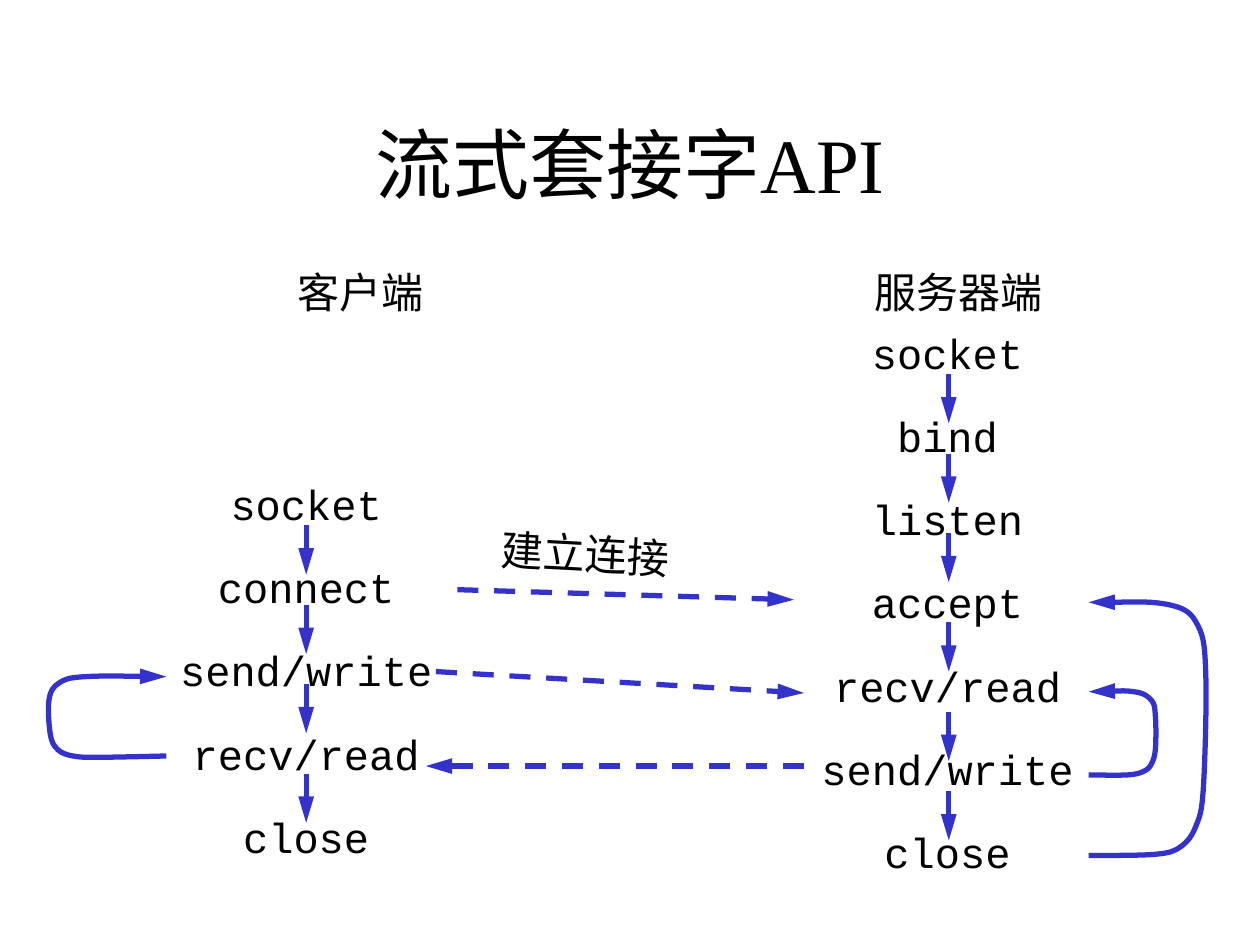
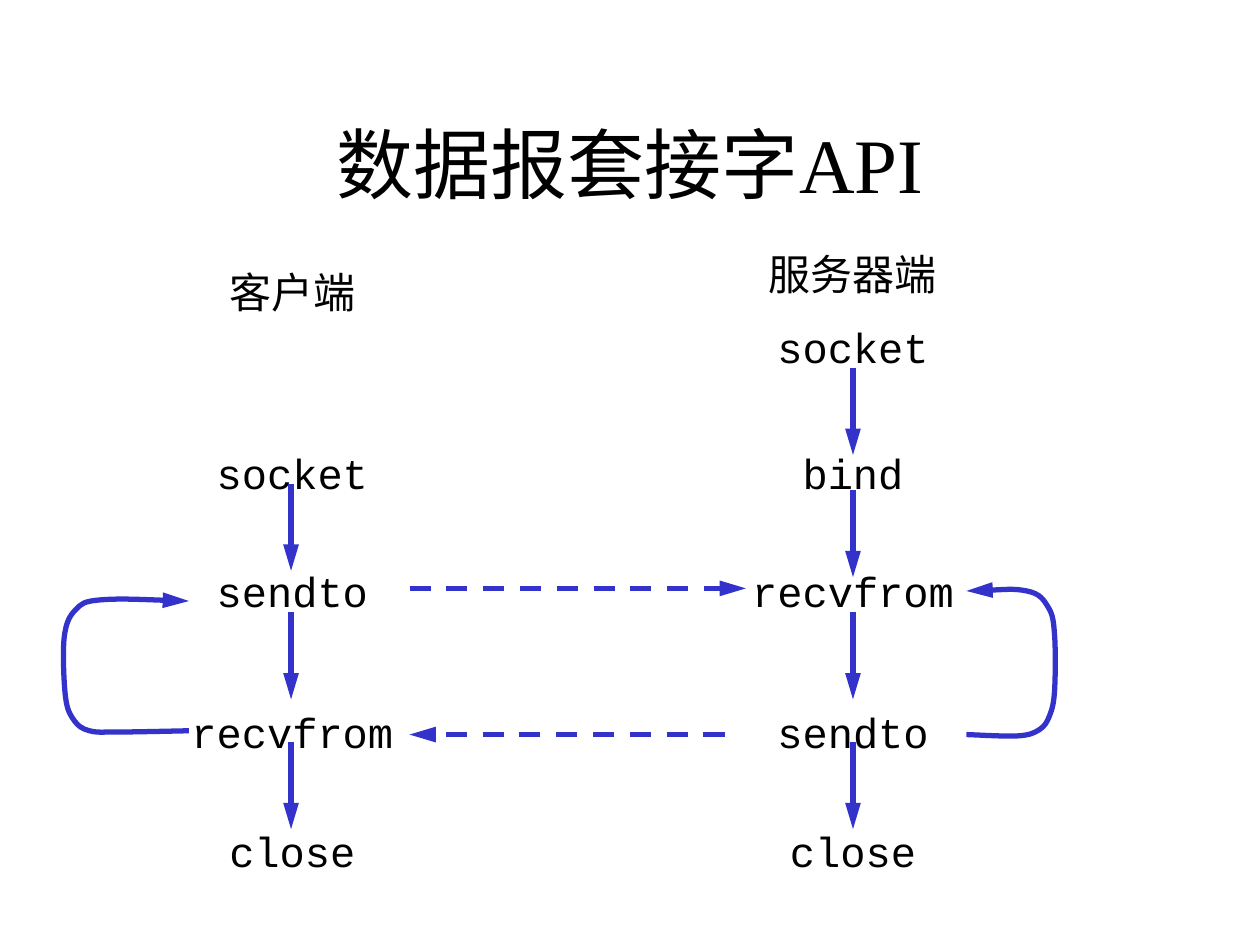
from lxml.etree import SubElement
from pptx import Presentation
from pptx.dml.color import RGBColor
from pptx.enum.dml import MSO_LINE
from pptx.enum.shapes import MSO_CONNECTOR
from pptx.enum.text import MSO_ANCHOR, MSO_AUTO_SIZE, PP_ALIGN
from pptx.oxml.ns import qn
from pptx.util import Pt

EMU_PER_PX = 9144  # 100 px to the inch
BLACK = RGBColor(0x00, 0x00, 0x00)
WHITE = RGBColor(0xFF, 0xFF, 0xFF)
FLOW_BLUE = RGBColor(0x33, 0x33, 0xCC)
TITLE_FONT, LABEL_FONT, CODE_FONT = "Times New Roman", "Arial", "Courier New"
LABEL_CHAR, CODE_CHAR = 33.33, 20  # character widths at 24 pt
BOX_HEIGHT, BOX_INSET = 50, 10


def px(length):
    return round(length * EMU_PER_PX)


def add_text(paragraph, text, font, size):
    run = paragraph.add_run()
    run.text = text
    run.font.name = font
    run.font.size = Pt(size)
    run.font.color.rgb = BLACK


def add_titled_slide(deck, title):
    slide = deck.slides.add_slide(deck.slide_layouts[5])
    slide.background.fill.solid()
    slide.background.fill.fore_color.rgb = WHITE
    heading = slide.shapes.title
    heading.left, heading.top, heading.width, heading.height = map(px, (75, 67, 850, 125))
    frame = heading.text_frame
    frame.auto_size = MSO_AUTO_SIZE.NONE
    frame.vertical_anchor = MSO_ANCHOR.MIDDLE
    frame.paragraphs[0].alignment = PP_ALIGN.CENTER
    add_text(frame.paragraphs[0], title, TITLE_FONT, 44)
    return slide


def add_line_of_text(slide, text, left, top, width, font, alignment):
    box = slide.shapes.add_textbox(px(left), px(top), px(width), px(BOX_HEIGHT))
    box.text_frame.word_wrap = False
    paragraph = box.text_frame.paragraphs[0]
    paragraph.alignment = alignment
    add_text(paragraph, text, font, 24)
    return box


def add_label(slide, text, left, top, rotation=0):
    width = 2 * BOX_INSET + LABEL_CHAR * len(text)
    label = add_line_of_text(slide, text, left, top, width, LABEL_FONT, PP_ALIGN.LEFT)
    label.rotation = rotation


def add_calls(slide, center, calls, tops):
    """Stack the socket calls of one side around a vertical axis."""
    for call, top in zip(calls, tops):
        width = 2 * BOX_INSET + CODE_CHAR * len(call)
        add_line_of_text(slide, call, center - width / 2, top, width,
                         CODE_FONT, PP_ALIGN.CENTER)


def style_arrow(line):
    line.color.rgb = FLOW_BLUE
    line.width = Pt(3)
    SubElement(line._get_or_add_ln(), qn("a:tailEnd"), type="triangle", w="med", len="lg")


def add_arrow(slide, start, end, dashed=False):
    arrow = slide.shapes.add_connector(MSO_CONNECTOR.STRAIGHT, *map(px, start + end))
    if dashed:
        arrow.line.dash_style = MSO_LINE.DASH
    style_arrow(arrow.line)
    SubElement(arrow._element.spPr, qn("a:effectLst"))


def add_step_arrows(slide, x, tops, length):
    for top in tops:
        add_arrow(slide, (x, top), (x, top + length))


def smooth_segments(points):
    """Return two control points and an end point per span (Catmull-Rom)."""
    padded = [points[0], *points, points[-1]]
    segments = []
    for before, start, end, after in zip(padded, padded[1:], padded[2:], padded[3:]):
        leaving = tuple(s + (e - b) / 6 for b, s, e in zip(before, start, end))
        arriving = tuple(e - (a - s) / 6 for s, e, a in zip(start, end, after))
        segments += [leaving, arriving, end]
    return segments


def add_loop(slide, points):
    """Draw a smooth arrow through the points."""
    builder = slide.shapes.build_freeform(*map(px, points[0]))
    builder.add_line_segments(
        [tuple(map(px, point)) for point in smooth_segments(points)], close=False)
    loop = builder.convert_to_shape()
    outline = next(loop._element.iter(qn("a:path")))
    steps = outline.findall(qn("a:lnTo"))
    for first in range(0, len(steps), 3):
        curve = SubElement(outline, qn("a:cubicBezTo"))
        for step in steps[first:first + 3]:
            curve.append(step[0])
            outline.remove(step)
    loop.fill.background()
    style_arrow(loop.line)
    loop.shadow.inherit = False


def build_stream_slide(deck):
    slide = add_titled_slide(deck, "流式套接字API")
    add_label(slide, "服务器端", 684, 207)
    add_calls(slide, 752,
              ["socket", "bind", "listen", "accept", "recv/read", "send/write", "close"],
              range(255, 652, 66))
    add_step_arrows(slide, 753, [297, 360, 423, 494, 565, 628], 39)

    add_label(slide, "客户端", 226, 207)
    add_calls(slide, 243, ["socket", "connect", "send/write", "recv/read", "close"],
              range(375, 640, 66))
    add_step_arrows(slide, 243, [417, 480, 543, 614], 39)

    add_loop(slide, [(132, 600), (78, 601), (58, 600), (46, 595), (40, 583),
                     (39, 555), (47, 542), (68, 537), (132, 537)])
    add_loop(slide, [(864, 615), (895, 615), (908, 612), (914, 606), (917, 594),
                     (917, 569), (914, 556), (900, 549), (864, 549)])
    add_loop(slide, [(864, 679), (917, 678), (937, 672), (949, 656), (955, 626),
                     (957, 537), (951, 497), (928, 480), (864, 478)])

    add_arrow(slide, (346, 533), (638, 550), dashed=True)
    add_arrow(slide, (638, 608), (338, 608), dashed=True)
    add_arrow(slide, (363, 468), (630, 476), dashed=True)
    add_label(slide, "建立连接", 388, 414, rotation=3.1)


def build_datagram_slide(deck):
    slide = add_titled_slide(deck, "数据报套接字API")
    add_label(slide, "服务器端", 600, 192)
    add_calls(slide, 677, ["socket", "bind", "recvfrom", "sendto", "close"],
              [250, 350, 444, 556, 650])
    add_step_arrows(slide, 677, [292, 389, 486, 589], 69)

    add_label(slide, "客户端", 172, 207)
    add_calls(slide, 232, ["socket", "sendto", "recvfrom", "close"],
              [350, 444, 556, 650])
    add_step_arrows(slide, 231, [384, 486, 589], 69)

    add_loop(slide, [(150, 580), (92, 581), (71, 580), (59, 572), (52, 553),
                     (51, 506), (60, 484), (81, 476), (150, 477)])
    add_loop(slide, [(767, 583), (808, 584), (825, 579), (833, 568), (837, 548),
                     (837, 504), (832, 482), (815, 469), (767, 469)])

    add_arrow(slide, (325, 467), (592, 467), dashed=True)
    add_arrow(slide, (575, 583), (325, 583), dashed=True)


def main():
    deck = Presentation()
    deck.slide_width, deck.slide_height = px(1000), px(750)
    build_stream_slide(deck)
    build_datagram_slide(deck)
    deck.save("out.pptx")


if __name__ == "__main__":
    main()
